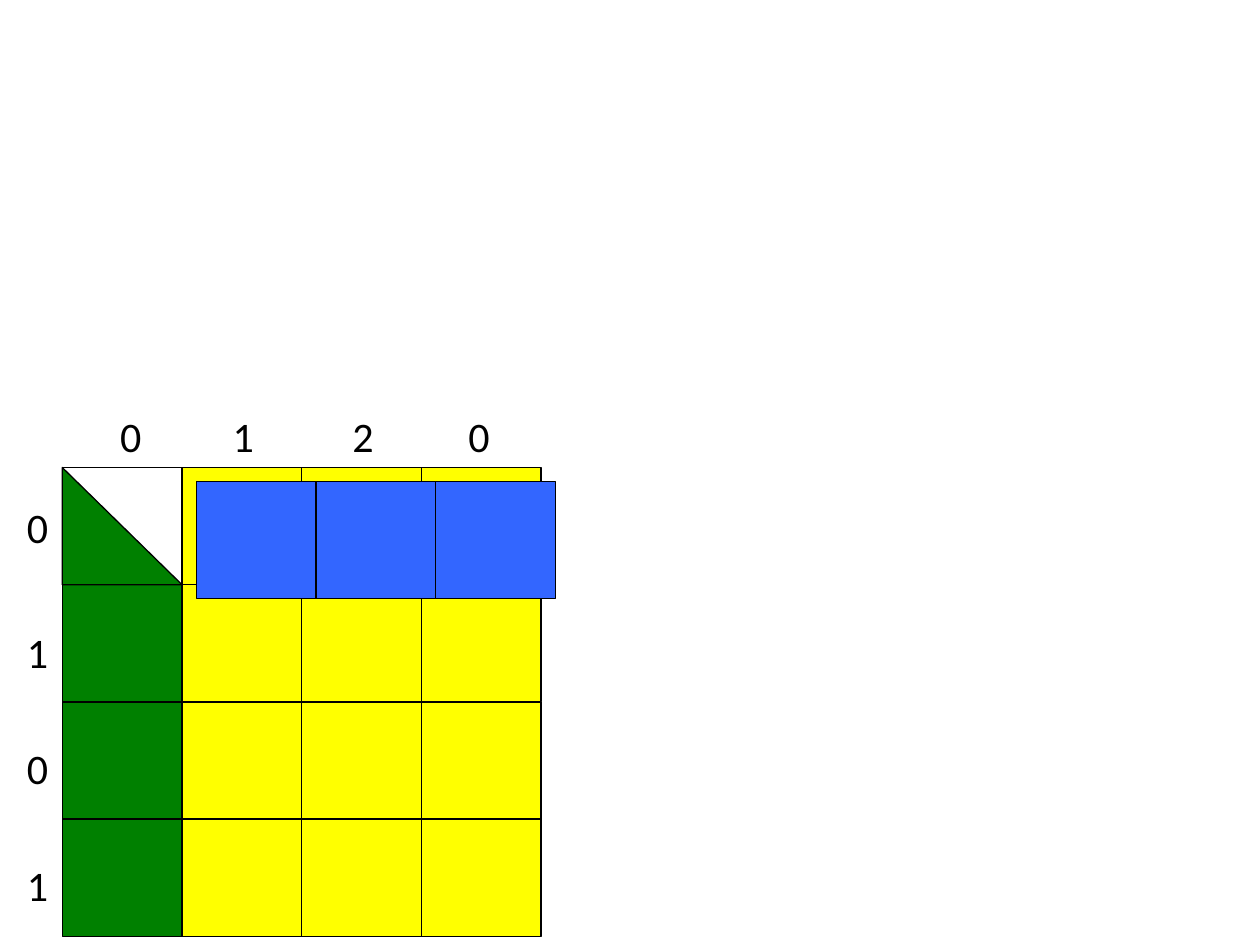
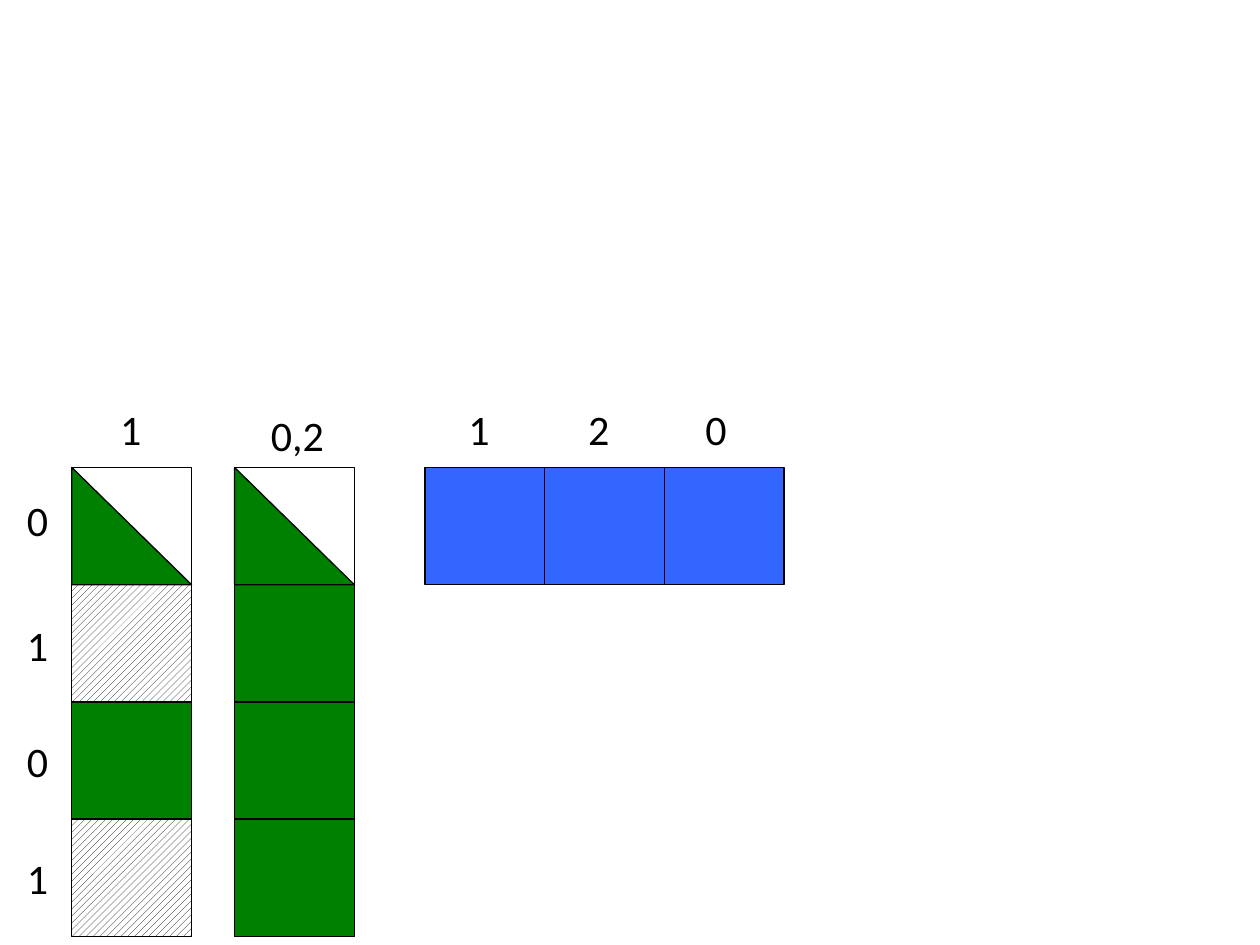
from pptx import Presentation
from pptx import util as u
from pptx.dml import color
from pptx.enum import dml, shapes, text

BLACK, WHITE, GREEN = "000000", "FFFFFF", "008000"
YELLOW, BLUE, DARK = "FFFF00", "3366FF", "0D0D0D"
BOX = shapes.MSO_SHAPE.RECTANGLE
WEDGE = shapes.MSO_SHAPE.RIGHT_TRIANGLE


def rgb(code):
    return color.RGBColor.from_string(code)


def write(frame, words, size=24, font="Calibri", ink=BLACK):
    frame.word_wrap = True
    frame.auto_size = text.MSO_AUTO_SIZE.SHAPE_TO_FIT_TEXT
    run = frame.paragraphs[0].add_run()
    run.text = words
    run.font.size = u.Pt(size)
    run.font.name = font
    run.font.color.rgb = rgb(ink)


class Board:
    wide, high = 0.95, 0.93
    top = 3.99

    def __init__(self):
        self.deck = Presentation()
        self.deck.slide_width = u.Inches(10)
        self.deck.slide_height = u.Inches(7.5)

    def start(self, left):
        self.left = left
        self.slide = self.deck.slides.add_slide(self.deck.slide_layouts[6])

    def place(self, col, row, cols=1, rows=1):
        return (u.Inches((self.left + col) * self.wide),
                u.Inches((self.top + row) * self.high),
                u.Inches(cols * self.wide),
                u.Inches(rows * self.high))

    def cell(self, col, row, fill=None, form=BOX, hatch=None, home=None):
        item = (home or self.slide).shapes.add_shape(form, *self.place(col, row))
        item.shadow.inherit = False
        if hatch:
            item.fill.patterned()
            item.fill.pattern = dml.MSO_PATTERN.WIDE_UPWARD_DIAGONAL
            item.fill.fore_color.rgb = rgb(hatch)
            item.fill.back_color.rgb = rgb(WHITE)
        elif fill:
            item.fill.solid()
            item.fill.fore_color.rgb = rgb(fill)
        else:
            item.fill.background()
        item.line.color.rgb = rgb(BLACK)
        item.line.width = u.Pt(0.75)

    def strip(self, col, row):
        group = self.slide.shapes.add_group_shape()
        for step in range(3):
            self.cell(col + step, row, BLUE, home=group)

    def label(self, words, col, row, cols=0.39, rows=0.54):
        box = self.slide.shapes.add_textbox(*self.place(col, row, cols, rows))
        write(box.text_frame, words)

    def sides(self, col, shift=0):
        for words, row in zip("0101", (0.24, 1.3, 2.29, 3.29)):
            self.label(words, col, row + shift, 0.24, 0.31)

    def heads(self, words, cols, row):
        for word, col in zip(words, cols):
            self.label(word, col, row)


def table(board):
    board.start(0.52)
    for row in range(4):
        for col in range(4):
            first = GREEN if row else None
            board.cell(col, row, YELLOW if col else first)
    board.cell(0, 0, GREEN, WEDGE)
    board.strip(1.12, 0.12)
    board.sides(-0.4)
    board.heads("0120", (0.38, 1.32, 2.32, 3.29), -0.54)


def parts(board):
    board.start(0.6)
    for col, marks in ((0, {1: DARK, 3: BLACK}), (1.36, {})):
        for row in range(1, 4):
            board.cell(col, row, GREEN, hatch=marks.get(row))
        board.cell(col, 0, GREEN, WEDGE)
        board.cell(col, 0)
    board.strip(2.95, 0)
    board.sides(-0.48, -0.06)
    board.heads("1120", (0.3, 3.21, 4.21, 5.19), -0.6)
    board.label("0,2", 1.56, -0.55, 0.68)


def main():
    board = Board()
    table(board)
    parts(board)
    board.deck.save("out.pptx")


if __name__ == "__main__":
    main()
